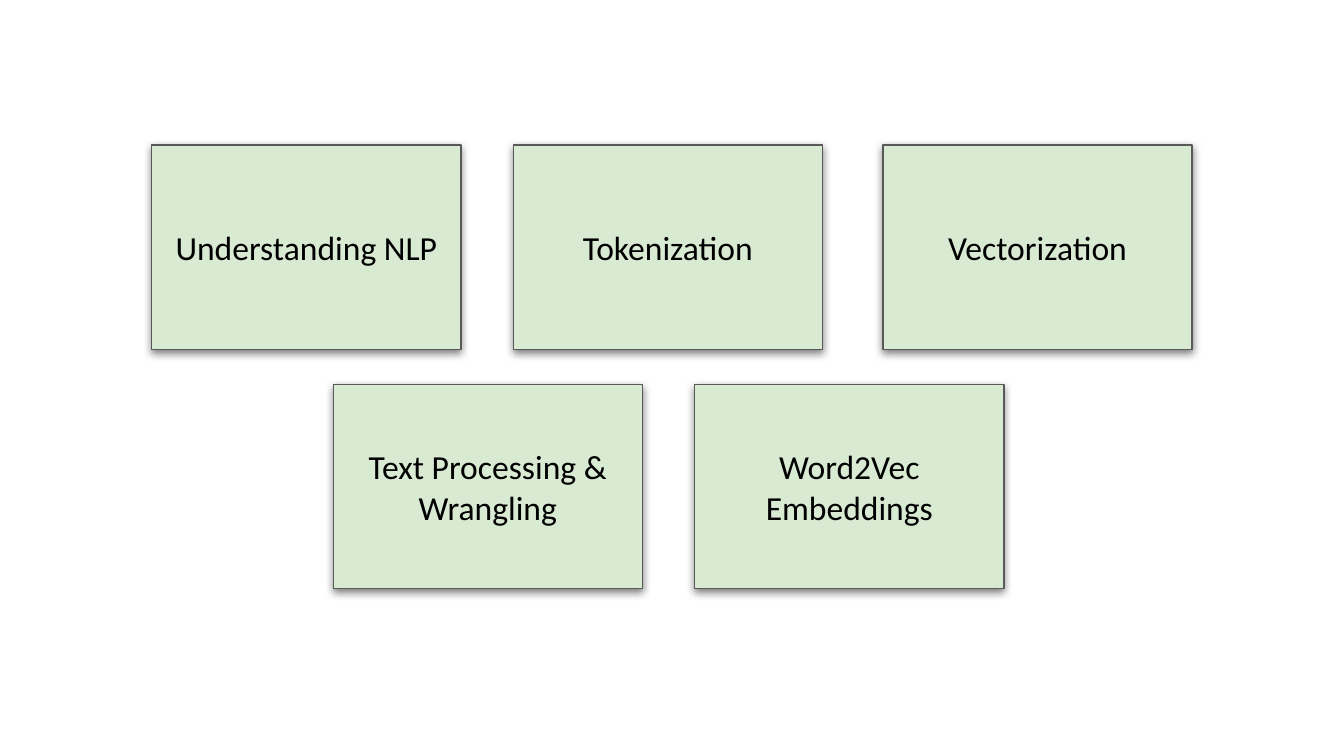
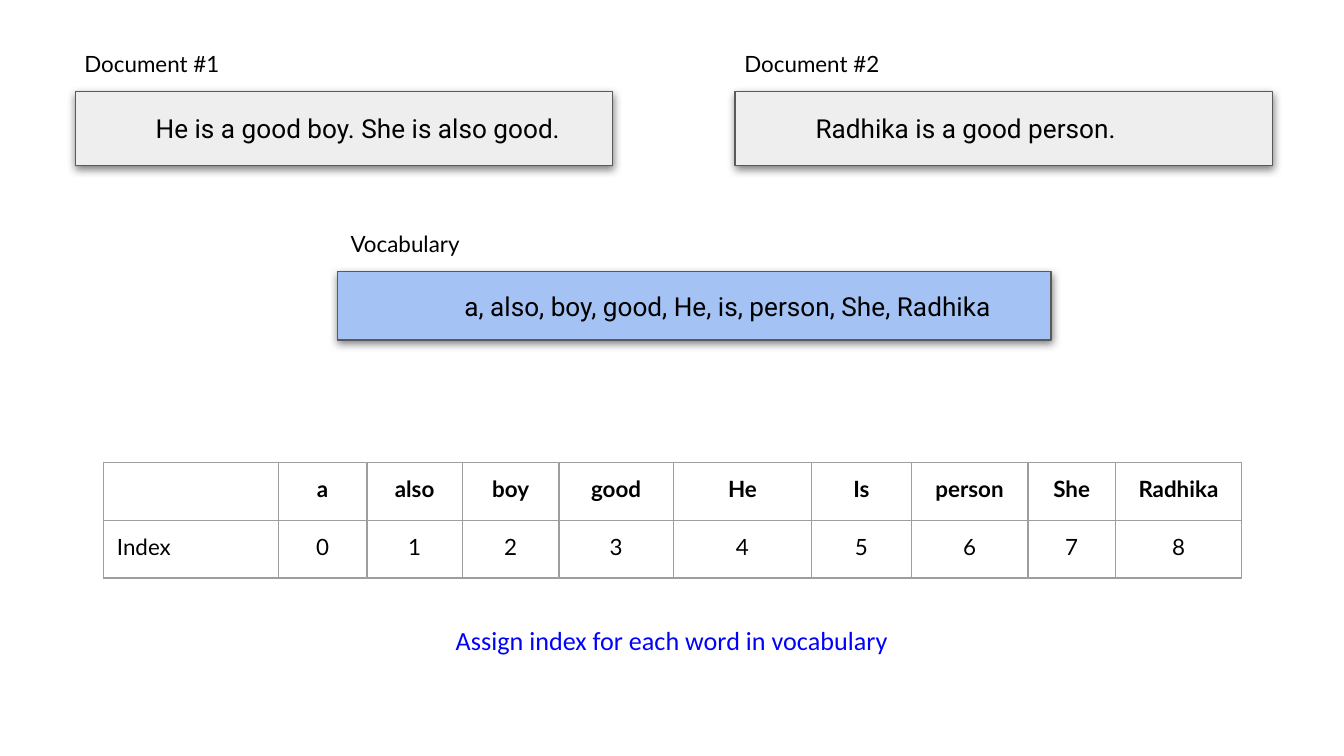
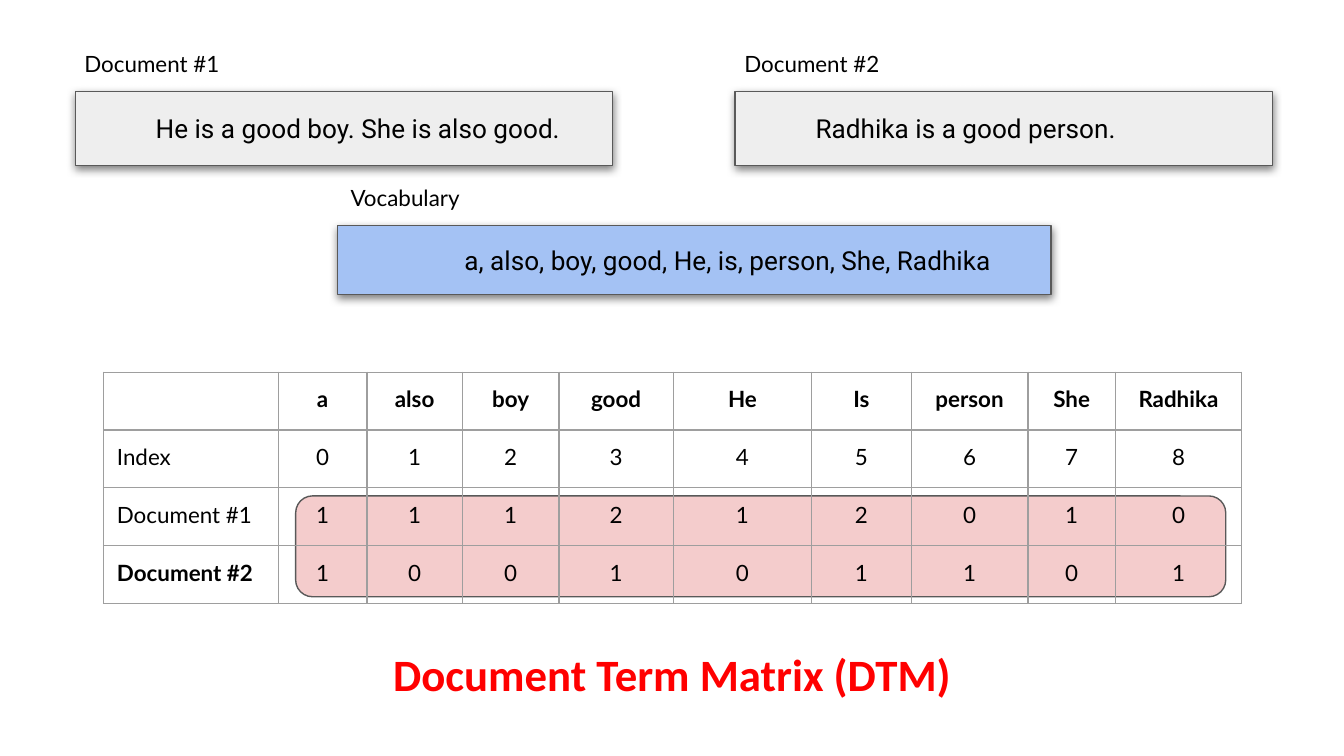
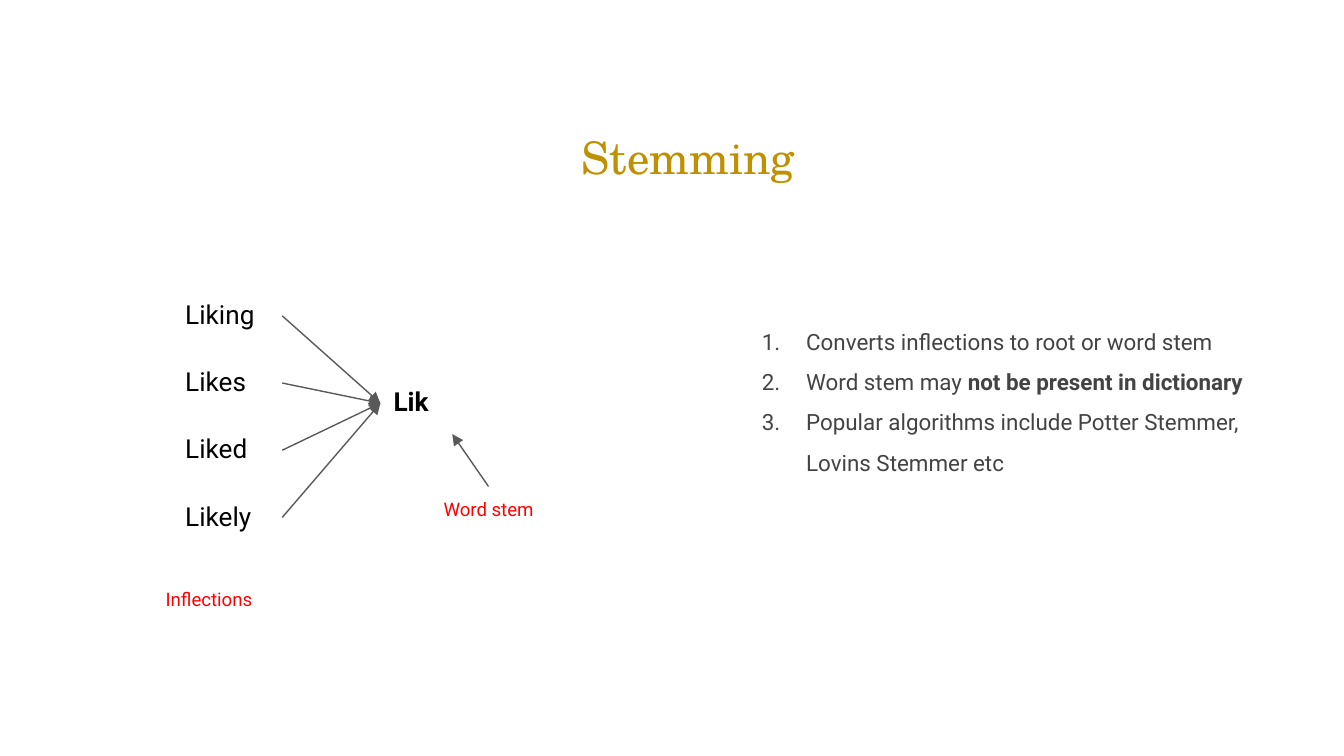
"""Build four slides on NLP topics, the document term matrix and stemming."""
from lxml import etree
from pptx import Presentation
from pptx.dml.color import RGBColor
from pptx.enum import shapes, text
from pptx.oxml import parse_xml
from pptx.oxml.ns import nsdecls, qn
from pptx.util import Inches, Pt

BLACK = RGBColor(0x00, 0x00, 0x00)
OUTLINE = RGBColor(0x59, 0x59, 0x59)
GRID = RGBColor(0x9E, 0x9E, 0x9E)
GREEN = RGBColor(0xD9, 0xEA, 0xD3)
GRAY = RGBColor(0xEE, 0xEE, 0xEE)
BLUE = RGBColor(0xA4, 0xC2, 0xF4)
PINK = RGBColor(0xF4, 0xCC, 0xCC)
RED = RGBColor(0xFF, 0x00, 0x00)
LINK_BLUE = RGBColor(0x00, 0x00, 0xFF)
GOLD = RGBColor(0xBF, 0x90, 0x00)
BODY = RGBColor(0x43, 0x43, 0x43)

SLIDE_WIDTH = 10
INSET = 0.1
LINE_WIDTH = 0.75
CENTER = text.PP_ALIGN.CENTER
LEFT = text.PP_ALIGN.LEFT
MIDDLE = text.MSO_ANCHOR.MIDDLE
TOP = text.MSO_ANCHOR.TOP

TOPIC_ROWS = [
    (1.08, [(1.13, "Understanding NLP"), (3.82, "Tokenization"), (6.57, "Vectorization")]),
    (2.86, [(2.48, "Text Processing & Wrangling"), (5.17, "Word2Vec Embeddings")]),
]
DOCUMENTS = [
    (0.56, "Document #1", "He is a good boy. She is also good."),
    (5.47, "Document #2", "Radhika is a good person."),
]
COLUMN_WIDTHS = [1.3, 0.66, 0.71, 0.72, 0.85, 1.03, 0.74, 0.87, 0.65, 0.94]
ROW_HEIGHT = 0.43
INDEX_ROWS = [
    ["", "a", "also", "boy", "good", "He", "Is", "person", "She", "Radhika"],
    ["Index", *range(9)],
]
COUNT_ROWS = [
    ["Document #1", 1, 1, 1, 2, 1, 2, 0, 1, 0],
    ["Document #2", 1, 0, 0, 1, 0, 1, 1, 0, 1],
]
STEMMING_POINTS = [
    [("Converts inflections to root or word stem", False)],
    [("Word stem may ", False), ("not be present in dictionary", True)],
    [("Popular algorithms include Potter Stemmer, Lovins Stemmer etc", False)],
]


def style_font(paragraph, size, name, color, bold=False):
    """Set the font that all runs of a paragraph share."""
    font = paragraph.font
    font.size = Pt(size)
    font.name = name
    font.color.rgb = color
    font.bold = bold


def prepare_frame(shape, anchor):
    """Give a shape's text frame the common insets, wrapping and anchor."""
    frame = shape.text_frame
    frame.word_wrap = True
    frame.vertical_anchor = anchor
    frame.margin_left = frame.margin_right = Inches(INSET)
    frame.margin_top = frame.margin_bottom = Inches(INSET)
    return frame


def write(shape, words, size, name, color=BLACK, bold=False, align=LEFT, anchor=TOP):
    """Write one paragraph into a shape and return it."""
    paragraph = prepare_frame(shape, anchor).paragraphs[0]
    paragraph.text = words
    paragraph.alignment = align
    style_font(paragraph, size, name, color, bold)
    return paragraph


def add_shadow(shape):
    """Put a soft shadow under a shape."""
    effects = shape._element.spPr.find(qn("a:effectLst"))
    effects.append(parse_xml(
        f'<a:outerShdw {nsdecls("a")} blurRad="{Pt(4.5)}" dist="{Pt(1.5)}" dir="5400000" '
        'algn="bl" rotWithShape="0"><a:srgbClr val="000000"><a:alpha val="50000"/>'
        '</a:srgbClr></a:outerShdw>'))


def add_box(slide, box, fill, kind=shapes.MSO_SHAPE.RECTANGLE, shadow=True):
    """Add a filled, outlined shape."""
    shape = slide.shapes.add_shape(kind, *map(Inches, box))
    shape.shadow.inherit = False
    shape.fill.solid()
    shape.fill.fore_color.rgb = fill
    shape.line.color.rgb = OUTLINE
    shape.line.width = Pt(LINE_WIDTH)
    if shadow:
        add_shadow(shape)
    return shape


def add_text(slide, box, words, size, name, **style):
    """Add a text box with one paragraph."""
    shape = slide.shapes.add_textbox(*map(Inches, box))
    write(shape, words, size, name, **style)
    return shape


def add_sentence_box(slide, box, fill, words, align=LEFT):
    """Add a shadowed box holding one sentence with a first-line indent."""
    paragraph = write(add_box(slide, box, fill), words, 14, "Roboto", align=align, anchor=MIDDLE)
    properties = paragraph._p.get_or_add_pPr()
    properties.set("marL", "0")
    properties.set("indent", str(Inches(0.5)))


def add_arrow(slide, start, start_side, end, end_side):
    """Join two shapes with an arrow."""
    arrow = slide.shapes.add_connector(shapes.MSO_CONNECTOR.STRAIGHT, 0, 0, 0, 0)
    arrow.begin_connect(start, start_side)
    arrow.end_connect(end, end_side)
    arrow.line.color.rgb = OUTLINE
    arrow.line.width = Pt(LINE_WIDTH)
    etree.SubElement(arrow.line._get_or_add_ln(), qn("a:tailEnd"), type="triangle")
    etree.SubElement(arrow._element.spPr, qn("a:effectLst"))


def style_cell(cell, words, bold, align):
    """Write a table cell with a thin border and no fill."""
    cell.margin_left = cell.margin_right = Inches(INSET)
    cell.margin_top = cell.margin_bottom = Inches(INSET if words else INSET / 2)
    paragraph = cell.text_frame.paragraphs[0]
    paragraph.text = words
    paragraph.alignment = align
    style_font(paragraph, 12, "Lato", BLACK, bold)
    properties = cell._tc.get_or_add_tcPr()
    for side in ("lnL", "lnR", "lnT", "lnB"):
        properties.append(parse_xml(
            f'<a:{side} {nsdecls("a")} w="{Pt(LINE_WIDTH)}"><a:solidFill>'
            f'<a:srgbClr val="{GRID}"/></a:solidFill></a:{side}>'))
    cell.fill.background()


def add_word_table(slide, top, rows):
    """Add the table of vocabulary words, indexes and counts."""
    frame = slide.shapes.add_table(
        len(rows), len(COLUMN_WIDTHS), Inches(0.77), Inches(top),
        Inches(sum(COLUMN_WIDTHS)), Inches(ROW_HEIGHT * len(rows)))
    table = frame.table
    table.first_row = table.horz_banding = False
    for column, width in zip(table.columns, COLUMN_WIDTHS):
        column.width = Inches(width)
    for row_number, values in enumerate(rows):
        table.rows[row_number].height = Inches(ROW_HEIGHT)
        for column_number, value in enumerate(values):
            bold = row_number == 0 or value == "Document #2"
            align = CENTER if column_number else LEFT
            style_cell(table.cell(row_number, column_number), str(value), bold, align)


def add_documents(slide, vocabulary_top):
    """Add the two documents and their vocabulary with labels."""
    for left, label, sentence in DOCUMENTS:
        add_sentence_box(slide, (left, 0.68, 4, 0.55), GRAY, sentence)
        add_text(slide, (left - 0.03, 0.27, 4, 0.41), label, 12, "Lato")
    add_sentence_box(slide, (2.51, vocabulary_top, 5.31, 0.51), BLUE,
                     "a, also, boy, good, He, is, person, She, Radhika", CENTER)
    add_text(slide, (2.51, vocabulary_top - 0.41, 4.98, 0.41), "Vocabulary", 12, "Lato")


def add_caption(slide, top, words, size, color, bold=False):
    """Add a centred caption below a table."""
    add_text(slide, (1.03, top, 7.94, 0.47), words, size, "Calibri",
             color=color, bold=bold, align=CENTER, anchor=MIDDLE)


def add_numbered_list(slide, box, points):
    """Add a numbered list whose points are lists of (words, bold)."""
    frame = prepare_frame(slide.shapes.add_textbox(*map(Inches, box)), TOP)
    for number, point in enumerate(points):
        paragraph = frame.add_paragraph() if number else frame.paragraphs[0]
        paragraph.line_spacing = 1.5
        properties = paragraph._p.get_or_add_pPr()
        properties.set("marL", str(Inches(0.5)))
        properties.set("indent", str(Inches(-0.33)))
        bullet_color = etree.SubElement(properties, qn("a:buClr"))
        etree.SubElement(bullet_color, qn("a:srgbClr"), val=str(BODY))
        etree.SubElement(properties, qn("a:buAutoNum"), type="arabicPeriod")
        style_font(paragraph, 12, "Roboto", BODY)
        for words, bold in point:
            run = paragraph.add_run()
            run.text = words
            run.font.bold = bold


def build_topics(slide):
    """Show the topics as two rows of boxes."""
    for top, topics in TOPIC_ROWS:
        for left, topic in topics:
            box = add_box(slide, (left, top, 2.3, 1.52), GREEN)
            write(box, topic, 18, "Calibri", align=CENTER, anchor=MIDDLE)


def build_index(slide):
    """Show how vocabulary words get their index."""
    add_documents(slide, 2.02)
    add_word_table(slide, 3.44, INDEX_ROWS)
    add_caption(slide, 4.53, "Assign index for each word in vocabulary", 14, LINK_BLUE)


def build_matrix(slide):
    """Show the document term matrix."""
    add_box(slide, (2.2, 3.69, 6.92, 0.75), PINK, shapes.MSO_SHAPE.ROUNDED_RECTANGLE, shadow=False)
    add_documents(slide, 1.68)
    add_word_table(slide, 2.77, INDEX_ROWS + COUNT_ROWS)
    add_caption(slide, 4.78, "Document Term Matrix (DTM)", 24, RED, bold=True)


def build_stemming(slide):
    """Show inflections that reduce to one word stem."""
    add_text(slide, (1.15, 0.75, 7.94, 0.83), "Stemming", 24, "TeX Gyre Schola",
             color=GOLD, align=CENTER, anchor=MIDDLE)
    add_numbered_list(slide, (5.4, 2.24, 4.07, 1.71), STEMMING_POINTS)
    stem = add_text(slide, (2.83, 2.77, 1.07, 0.46), "Lik", 14, "Roboto", bold=True)
    for number, word in enumerate(["Liking", "Likes", "Liked", "Likely"]):
        inflection = add_text(slide, (1.28, 2.12 + 0.5 * number, 0.82, 0.46), word, 14, "Roboto")
        add_arrow(slide, inflection, 3, stem, 1)
    note_style = {"color": RED, "align": CENTER}
    stem_note = add_text(slide, (3.1, 3.62, 1.07, 0.65), "Word stem", 10, "Roboto", **note_style)
    add_arrow(slide, stem_note, 0, stem, 2)
    add_text(slide, (1.02, 4.29, 1.07, 0.65), "Inflections", 10, "Roboto", **note_style)


def main():
    """Build and save the presentation."""
    presentation = Presentation()
    presentation.slide_width = Inches(SLIDE_WIDTH)
    presentation.slide_height = Inches(SLIDE_WIDTH * 9 / 16)
    for build in (build_topics, build_index, build_matrix, build_stemming):
        build(presentation.slides.add_slide(presentation.slide_layouts[6]))
    presentation.save("out.pptx")


if __name__ == "__main__":
    main()
